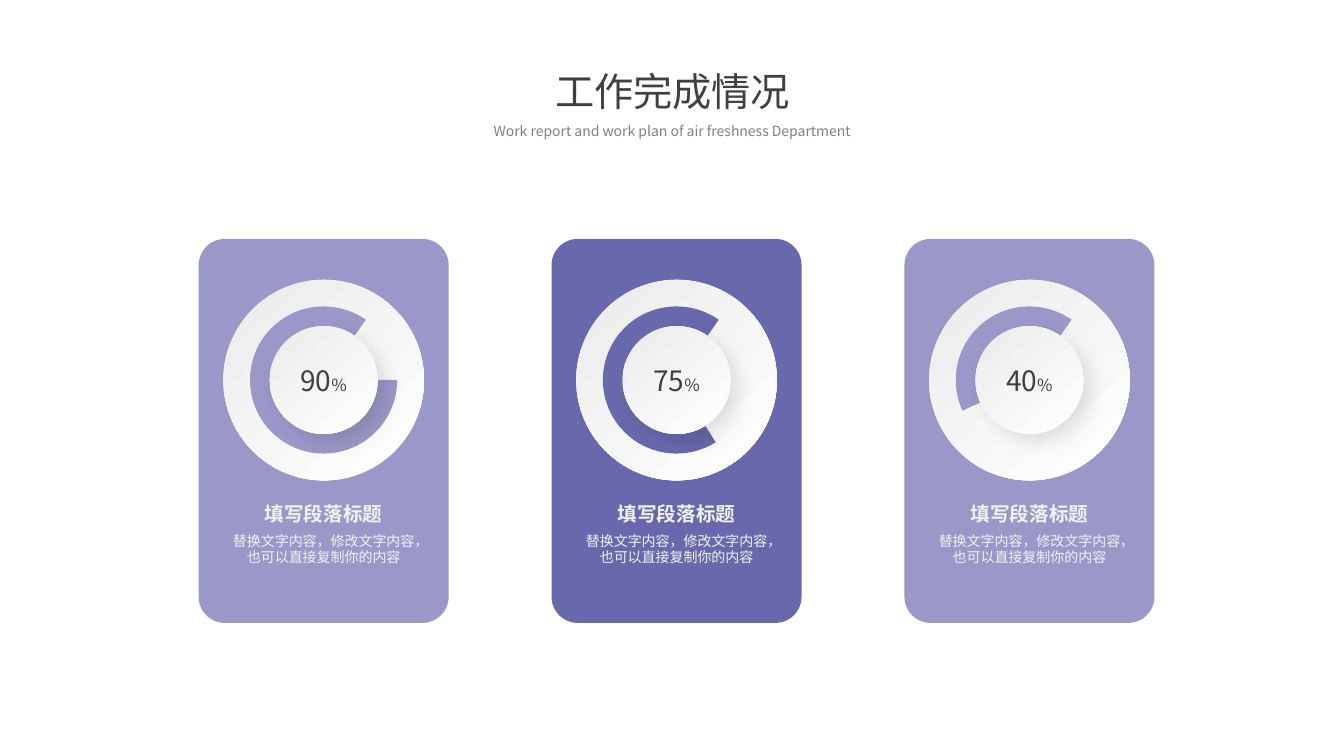
"""Build the work completion slide with three percentage cards."""
from lxml.etree import SubElement
from pptx import Presentation
from pptx.dml.color import RGBColor
from pptx.enum.shapes import MSO_SHAPE
from pptx.enum.text import MSO_ANCHOR, MSO_AUTO_SIZE, PP_ALIGN
from pptx.oxml.ns import qn
from pptx.util import Inches, Pt

TITLE = "工作完成情况"
SUBTITLE = "Work report and work plan of air freshness Department"
HEADING = "填写段落标题"
DETAIL = "替换文字内容，修改文字内容，也可以直接复制你的内容"

LILAC = RGBColor(0x99, 0x98, 0xC8)
VIOLET = RGBColor(0x68, 0x68, 0xAC)
SILVER = RGBColor(0xEB, 0xEB, 0xEB)
WHITE = RGBColor(0xFF, 0xFF, 0xFF)
CHARCOAL = RGBColor(0x40, 0x40, 0x40)
GRAY = RGBColor(0x80, 0x80, 0x80)
PALE = RGBColor(0xF2, 0xF2, 0xF2)
FONT = "Noto Sans CJK SC"

CARDS = [
    {"percent": "90", "color": LILAC, "start_degrees": 0},
    {"percent": "75", "color": VIOLET, "start_degrees": 57.81},
    {"percent": "40", "color": LILAC, "start_degrees": 155.38},
]
END_DEGREES = 305.03
DEGREE_UNIT = 0.6

CARD_LEFT, CARD_TOP, CARD_WIDTH, CARD_HEIGHT = 1.97, 2.37, 2.48, 3.81
CARD_PITCH = 3.5
DIAL_CENTER_Y = 3.77
DISC, ARC, KNOB = 1.99, 1.46, 1.07

FORMATS = {
    "title": {"size": Pt(28), "bold": False, "color": CHARCOAL},
    "subtitle": {"size": Pt(10), "bold": False, "color": GRAY},
    "percent": {"size": Pt(20), "bold": False, "color": CHARCOAL},
    "sign": {"size": Pt(12), "bold": False, "color": CHARCOAL},
    "heading": {"size": Pt(14), "bold": True, "color": PALE},
    "detail": {"size": Pt(10), "bold": False, "color": PALE},
}


def write(shape, runs, anchor=MSO_ANCHOR.TOP, wrap=True):
    frame = shape.text_frame
    frame.auto_size = MSO_AUTO_SIZE.NONE
    frame.word_wrap = wrap
    frame.vertical_anchor = anchor
    paragraph = frame.paragraphs[0]
    paragraph.alignment = PP_ALIGN.CENTER
    paragraph.space_before = Pt(0)
    for text, style in runs:
        run = paragraph.add_run()
        run.text = text
        run.font.name = FONT
        SubElement(run.font._element, qn("a:ea"), typeface=FONT)
        for key, value in FORMATS[style].items():
            if key == "color":
                run.font.color.rgb = value
            else:
                setattr(run.font, key, value)
    return paragraph


def place(shape, left, top, width, height):
    box = {"left": left, "top": top, "width": width, "height": height}
    for side, value in box.items():
        setattr(shape, side, Inches(value))


def add_plain(group, preset, left, top, width, height, color=None):
    shape = group.shapes.add_shape(
        preset, Inches(left), Inches(top), Inches(width), Inches(height))
    shape.shadow.inherit = False
    shape.line.fill.background()
    if color is not None:
        shape.fill.solid()
        shape.fill.fore_color.rgb = color
    else:
        shape.fill.gradient()
        shape.fill.gradient_angle = 310
        for stop, shade, position in zip(shape.fill.gradient_stops, (SILVER, WHITE), (0, 1)):
            stop.color.rgb = shade
            stop.position = position
    return shape


def add_round(group, preset, center_x, diameter, color=None):
    return add_plain(group, preset, center_x - diameter / 2,
                     DIAL_CENTER_Y - diameter / 2, diameter, diameter, color)


def add_soft_shadow(shape):
    effects = shape._element.spPr.find(qn("a:effectLst"))
    shadow = SubElement(effects, qn("a:outerShdw"), blurRad=str(Pt(13)), dist=str(Pt(9)),
                        dir="2700000", algn="tl", rotWithShape="0")
    black = SubElement(shadow, qn("a:srgbClr"), val="000000")
    SubElement(black, qn("a:alpha"), val="10000")


def add_label(group, center_x, top, width, height, text, style, wrap):
    label = group.shapes.add_textbox(
        Inches(center_x - width / 2), Inches(top), Inches(width), Inches(height))
    write(label, [(text, style)], wrap=wrap)


def add_card(slide, left, card):
    group = slide.shapes.add_group_shape()
    center_x = left + CARD_WIDTH / 2
    panel = add_plain(group, MSO_SHAPE.ROUNDED_RECTANGLE, left, CARD_TOP,
                      CARD_WIDTH, CARD_HEIGHT, card["color"])
    panel.adjustments[0] = 0.105
    add_round(group, MSO_SHAPE.OVAL, center_x, DISC)
    arc = add_round(group, MSO_SHAPE.PIE, center_x, ARC, card["color"])
    arc.adjustments[0] = card["start_degrees"] * DEGREE_UNIT
    arc.adjustments[1] = END_DEGREES * DEGREE_UNIT
    knob = add_round(group, MSO_SHAPE.OVAL, center_x, KNOB)
    add_soft_shadow(knob)
    write(knob, [(card["percent"], "percent"), ("%", "sign")], MSO_ANCHOR.MIDDLE)
    add_label(group, center_x, 4.93, 1.38, 0.34, HEADING, "heading", False)
    add_label(group, center_x, 5.23, 2.07, 0.44, DETAIL, "detail", True)


def main():
    deck = Presentation()
    deck.slide_width, deck.slide_height = Inches(13.33), Inches(7.5)
    slide = deck.slides.add_slide(deck.slide_layouts[0])
    title, subtitle = slide.placeholders
    place(title, 3.35, 0.62, 6.64, 0.57)
    write(title, [(TITLE, "title")])
    place(subtitle, 3.55, 1.18, 6.23, 0.25)
    write(subtitle, [(SUBTITLE, "subtitle")]).line_spacing = 0.9
    for index, card in enumerate(CARDS):
        add_card(slide, CARD_LEFT + index * CARD_PITCH, card)
    deck.save("out.pptx")


if __name__ == "__main__":
    main()
